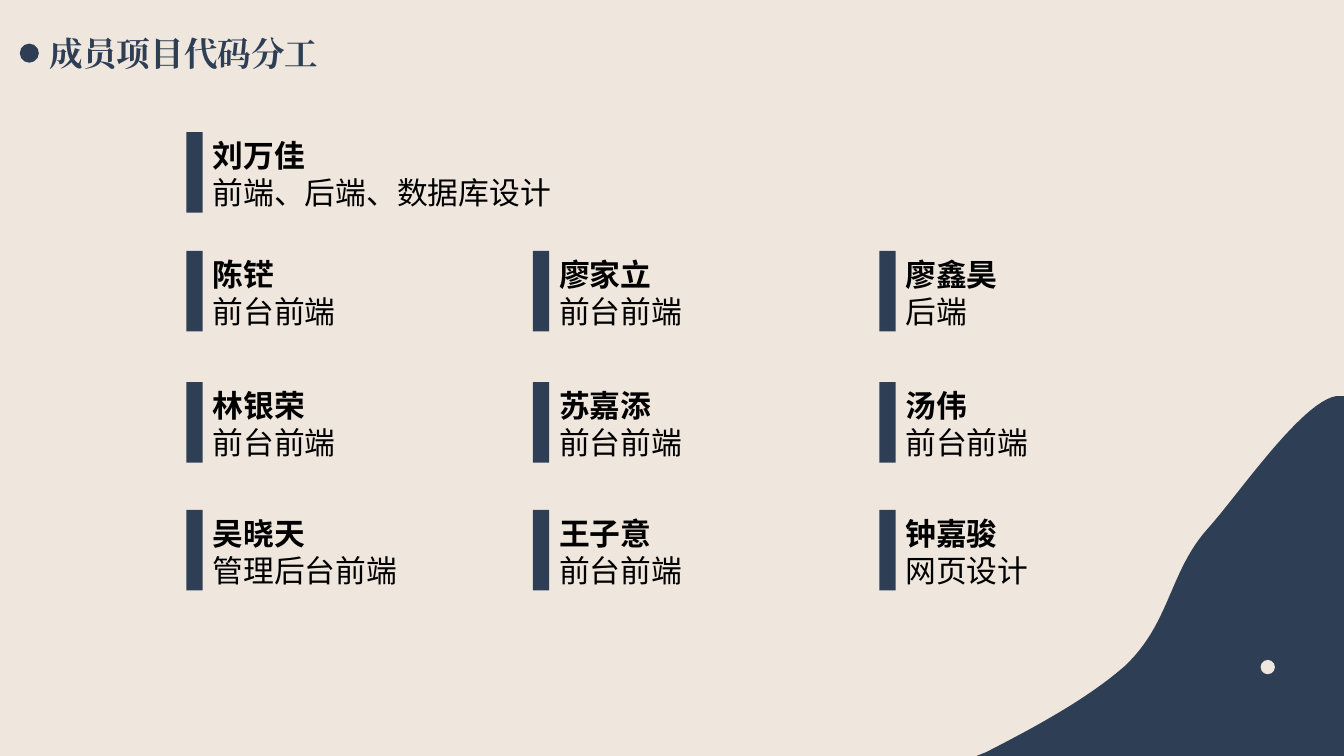
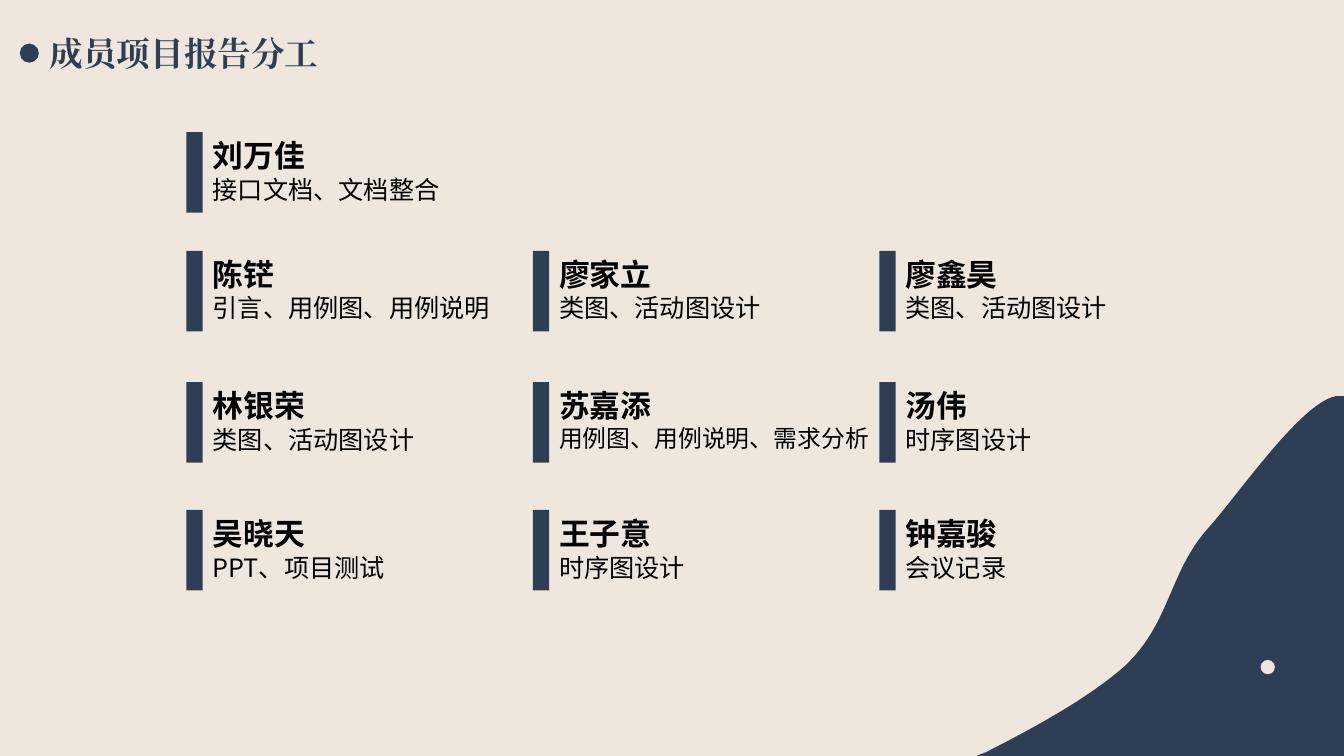
from dataclasses import dataclass

from lxml.etree import SubElement
from pptx import Presentation
from pptx.dml.color import RGBColor
from pptx.enum.shapes import MSO_SHAPE as Preset
from pptx.enum.text import MSO_ANCHOR as Anchor, MSO_AUTO_SIZE as AutoSize, PP_ALIGN as Align
from pptx.oxml.ns import qn
from pptx.util import Cm, Pt


@dataclass(frozen=True)
class Theme:
    navy: RGBColor = RGBColor.from_string("2E3F55")
    sand: RGBColor = RGBColor.from_string("EFE6DD")
    ink: RGBColor = RGBColor.from_string("000000")
    heading_font: str = "Times New Roman"
    body_font: str = "Noto Sans CJK SC"
    heading_size: int = 24
    name_size: int = 22
    leading: float = 1.2


THEME = Theme()
TITLE_ONLY = 5

# Positions and sizes in centimetres
WIDTH, HEIGHT = 33.87, 19.05
COLUMN_LEFT, COLUMN_PITCH = 4.7, 8.73
ROW_TOPS = (3.33, 6.32, 9.63, 12.85)
BAR_WIDTH, CARD_HEIGHT = 0.41, 2.03
HILL_WIDTH, HILL_HEIGHT = 9.26, 9.07
HILL_START = (0.25, 8.97)
HILL_CURVES = (
    ((1.6, 8.28), (2.84, 7.59), (3.73, 6.81)),
    ((4.88, 5.74), (4.85, 4.44), (5.82, 3.35)),
    ((6.6, 2.49), (8.18, 0.15), (9.07, 0)),
)
CURVE_STEPS = 24

TEAM = (
    ("刘万佳",),
    ("陈铓", "廖家立", "廖鑫昊"),
    ("林银荣", "苏嘉添", "汤伟"),
    ("吴晓天", "王子意", "钟嘉骏"),
)
CODE_DUTIES = (
    ("前端、后端、数据库设计",),
    ("前台前端", "前台前端", "后端"),
    ("前台前端", "前台前端", "前台前端"),
    ("管理后台前端", "前台前端", "网页设计"),
)
REPORT_DUTIES = (
    ("接口文档、文档整合",),
    ("引言、用例图、用例说明", "类图、活动图设计", "类图、活动图设计"),
    ("类图、活动图设计", "用例图、用例说明、需求分析", "时序图设计"),
    ("PPT、项目测试", "时序图设计", "会议记录"),
)


def paint(shape, color):
    shape.shadow.inherit = False
    shape.fill.solid()
    shape.fill.fore_color.rgb = color
    shape.line.fill.background()


def add_block(slide, preset, left, top, width, height, color):
    block = slide.shapes.add_shape(preset, Cm(left), Cm(top), Cm(width), Cm(height))
    paint(block, color)


def style_paragraph(paragraph, face, size, color, bold):
    """Set the face for Latin and East Asian text alike."""
    paragraph.alignment = Align.LEFT
    paragraph.line_spacing = Pt(size * THEME.leading)
    font = paragraph.font
    font.name, font.size, font.bold = face, Pt(size), bold
    font.color.rgb = color
    defaults = paragraph._p.pPr.find(qn("a:defRPr"))
    SubElement(defaults, qn("a:ea")).set("typeface", face)


def add_heading(slide, text, left, top):
    add_block(slide, Preset.OVAL, left, top + 0.41, 0.48, 0.48, THEME.navy)
    title = slide.shapes.title
    title.left, title.top = Cm(left + 0.5), Cm(top)
    title.width, title.height = Cm(14.53), Cm(1.27)
    frame = title.text_frame
    frame.text = text
    frame.auto_size = AutoSize.NONE
    frame.vertical_anchor = Anchor.TOP
    style_paragraph(frame.paragraphs[0], THEME.heading_font, THEME.heading_size,
                    THEME.navy, True)


def curve_points(start, control_1, control_2, end):
    """Sample a cubic Bézier curve, leaving out its start."""
    for step in range(1, CURVE_STEPS + 1):
        t = step / CURVE_STEPS
        weights = ((1 - t) ** 3, 3 * t * (1 - t) ** 2, 3 * t * t * (1 - t), t ** 3)
        yield tuple(
            sum(weight * value for weight, value in zip(weights, axis))
            for axis in zip(start, control_1, control_2, end)
        )


def add_hill(slide, left, top):
    outline = [(0, HILL_HEIGHT), HILL_START]
    for curve in HILL_CURVES:
        outline.extend(curve_points(outline[-1], *curve))
    outline += [(HILL_WIDTH, 0), (HILL_WIDTH, HILL_HEIGHT)]
    corners = [(Cm(left + x), Cm(top + y)) for x, y in outline]
    builder = slide.shapes.build_freeform(*corners[0])
    builder.add_line_segments(corners[1:], close=True)
    paint(builder.convert_to_shape(), THEME.navy)
    add_block(slide, Preset.OVAL, left + 7.16, top + 6.65, 0.36, 0.36, THEME.sand)


def add_member(slide, left, top, width, name, duty, duty_size):
    add_block(slide, Preset.RECTANGLE, left, top, BAR_WIDTH, CARD_HEIGHT, THEME.navy)
    card = slide.shapes.add_textbox(Cm(left + BAR_WIDTH), Cm(top),
                                    Cm(width - BAR_WIDTH), Cm(CARD_HEIGHT))
    frame = card.text_frame
    frame.word_wrap = True
    frame.margin_right = 0
    frame.text = f"{name}\n{duty}"
    name_line, duty_line = frame.paragraphs
    style_paragraph(name_line, THEME.body_font, THEME.name_size, THEME.ink, True)
    style_paragraph(duty_line, THEME.body_font, duty_size, THEME.ink, False)


def add_duties_slide(deck, heading, duties, duty_size, size_exceptions):
    """Lay out the team grid; size_exceptions maps a name to its own duty size."""
    slide = deck.slides.add_slide(deck.slide_layouts[TITLE_ONLY])
    add_heading(slide, heading, 0.5, 0.69)
    add_hill(slide, WIDTH - HILL_WIDTH, HEIGHT - HILL_HEIGHT)
    for top, names, row_duties in zip(ROW_TOPS, TEAM, duties):
        width = COLUMN_PITCH * (2 if len(names) == 1 else 1)
        for column, (name, duty) in enumerate(zip(names, row_duties)):
            add_member(slide, COLUMN_LEFT + column * COLUMN_PITCH, top, width,
                       name, duty, size_exceptions.get(name, duty_size))


def main():
    deck = Presentation()
    deck.slide_width, deck.slide_height = Cm(WIDTH), Cm(HEIGHT)
    backdrop = deck.slide_master.background.fill
    backdrop.solid()
    backdrop.fore_color.rgb = THEME.sand
    add_duties_slide(deck, "成员项目代码分工", CODE_DUTIES, 22, {})
    add_duties_slide(deck, "成员项目报告分工", REPORT_DUTIES, 18, {"苏嘉添": 17})
    deck.save("out.pptx")


if __name__ == "__main__":
    main()
